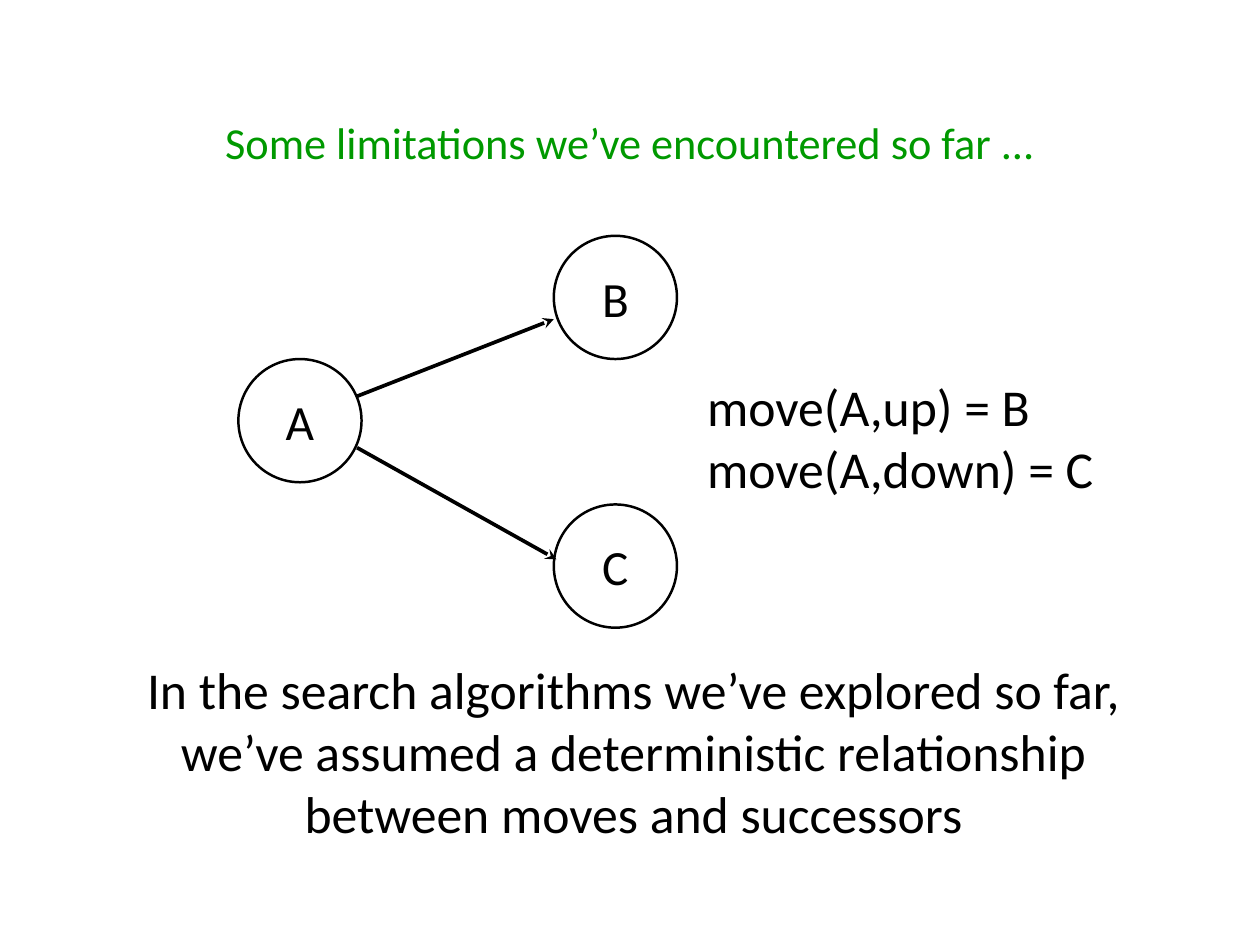
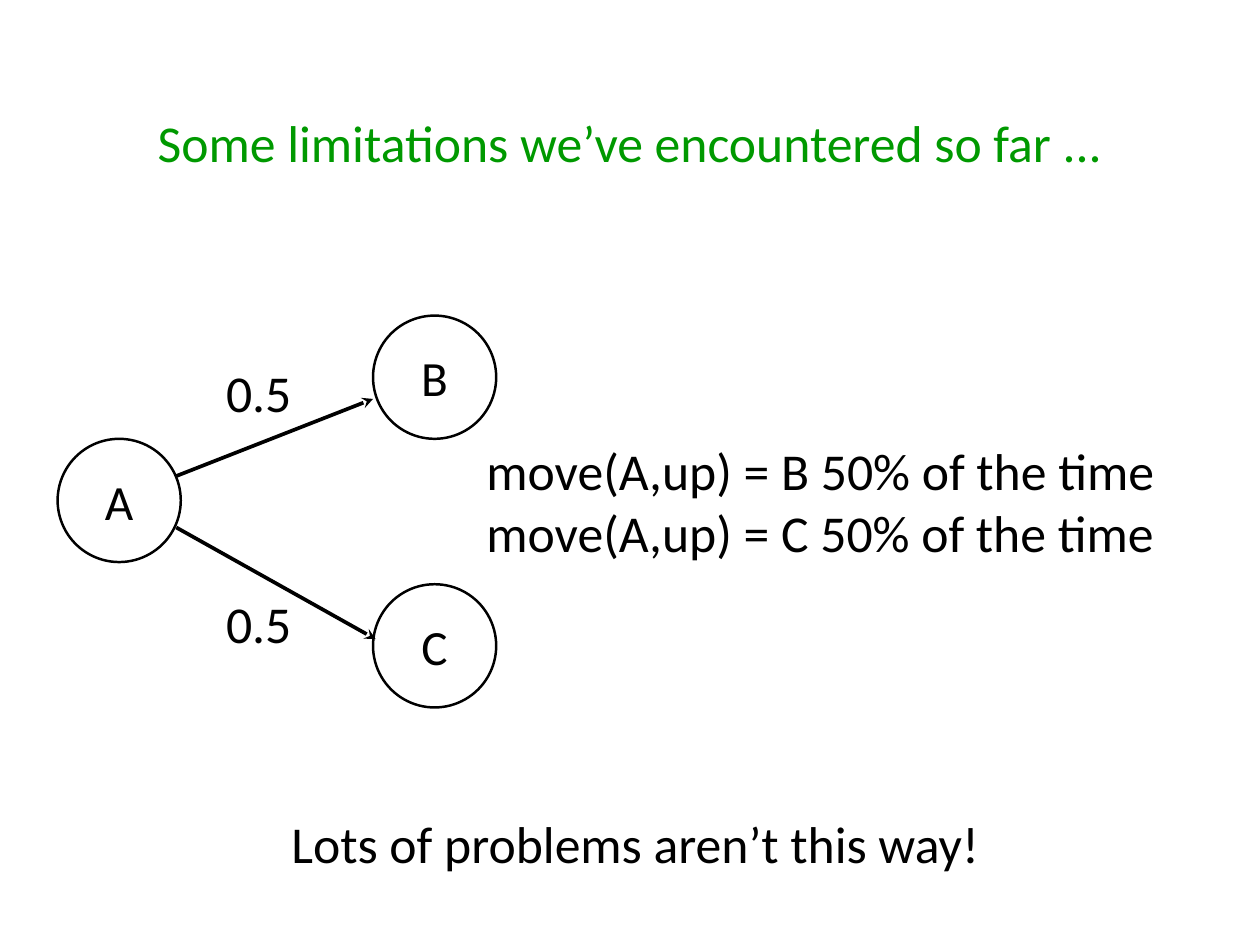
from lxml.etree import SubElement
from pptx import Presentation
from pptx.dml.color import RGBColor
from pptx.enum.shapes import MSO_CONNECTOR, MSO_SHAPE
from pptx.enum.text import MSO_ANCHOR, PP_ALIGN
from pptx.oxml.ns import qn
from pptx.util import Emu, Pt

PX = 9144  # 100 px to the inch
SLIDE_WIDTH, SLIDE_HEIGHT = 1422, 1066
COLORS = {"text": "000000", "title": "009900"}
FONT = "Calibri"
BODY_SIZE, NODE_SIZE = 42, 40
TITLE = "Some limitations we’ve encountered so far ..."
TITLE_BOX = (139, 27, 1144, 267)

NODE_DIAMETER = 139
NODES = {"A": (0, 139), "B": (356, 0), "C": (356, 303)}
MOVES = [((134, 181), (356, 94)), ((134, 239), (359, 365))]
ODDS_BOXES = [(186, 51, 82, 70), (186, 312, 82, 70)]


def px(*lengths):
    return [Emu(length * PX) for length in lengths]


def color(name):
    return RGBColor.from_string(COLORS[name])


def write(shape, lines, size, align, color_name="text"):
    frame = shape.text_frame
    frame.word_wrap = True
    frame.vertical_anchor = MSO_ANCHOR.MIDDLE
    frame.margin_left = frame.margin_right = 0
    frame.margin_top = frame.margin_bottom = 0
    for index, line in enumerate(lines):
        paragraph = frame.add_paragraph() if index else frame.paragraphs[0]
        paragraph.alignment = align
        run = paragraph.add_run()
        run.text = line
        run.font.name = FONT
        run.font.size = Pt(size)
        run.font.color.rgb = color(color_name)


def add_text(slide, box, lines, size=BODY_SIZE, align=PP_ALIGN.CENTER,
             color_name="text"):
    write(slide.shapes.add_textbox(*px(*box)), lines, size, align, color_name)


def add_node(slide, left, top, letter):
    node = slide.shapes.add_shape(
        MSO_SHAPE.OVAL, *px(left, top, NODE_DIAMETER, NODE_DIAMETER))
    node.shadow.inherit = False
    node.fill.background()
    node.line.color.rgb = color("text")
    node.line.width = Pt(2)
    write(node, [letter], NODE_SIZE, PP_ALIGN.CENTER)


def add_arrow(slide, start, end):
    arrow = slide.shapes.add_connector(
        MSO_CONNECTOR.STRAIGHT, *px(*start, *end))
    arrow.line.color.rgb = color("text")
    arrow.line.width = Pt(3)
    SubElement(arrow.line._get_or_add_ln(), qn("a:tailEnd"), type="stealth")
    SubElement(arrow._element.spPr, qn("a:effectLst"))


def add_move_tree(slide, left, top, odds=()):
    """Draw A with its successors B and C, and the odds of each move if given."""
    for letter, (x, y) in NODES.items():
        add_node(slide, left + x, top + y, letter)
    for ends in MOVES:
        add_arrow(slide, *[(left + x, top + y) for x, y in ends])
    for (x, y, width, height), label in zip(ODDS_BOXES, odds):
        add_text(slide, (left + x, top + y, width, height), [label])


def add_limitation_slide(presentation, title_size, tree_origin, odds,
                         moves_box, moves, remark_box, remark):
    slide = presentation.slides.add_slide(presentation.slide_layouts[6])
    add_text(slide, TITLE_BOX, [TITLE], title_size, color_name="title")
    add_move_tree(slide, *tree_origin, odds)
    add_text(slide, moves_box, moves, align=PP_ALIGN.LEFT)
    add_text(slide, remark_box, [remark])


def main():
    presentation = Presentation()
    presentation.slide_width, presentation.slide_height = px(
        SLIDE_WIDTH, SLIDE_HEIGHT)
    add_limitation_slide(
        presentation, title_size=36, tree_origin=(269, 266), odds=(),
        moves_box=(798, 423, 494, 140),
        moves=["move(A,up) = B", "move(A,down) = C"],
        remark_box=(131, 745, 1168, 204),
        remark="In the search algorithms we’ve explored so far, we’ve assumed "
               "a deterministic relationship between moves and successors")
    add_limitation_slide(
        presentation, title_size=42, tree_origin=(65, 356), odds=("0.5", "0.5"),
        moves_box=(549, 497, 873, 136),
        moves=["move(A,up) = B 50% of the time",
               "move(A,up) = C 50% of the time"],
        remark_box=(133, 917, 1168, 68),
        remark="Lots of problems aren’t this way!")
    presentation.save("out.pptx")


if __name__ == "__main__":
    main()
